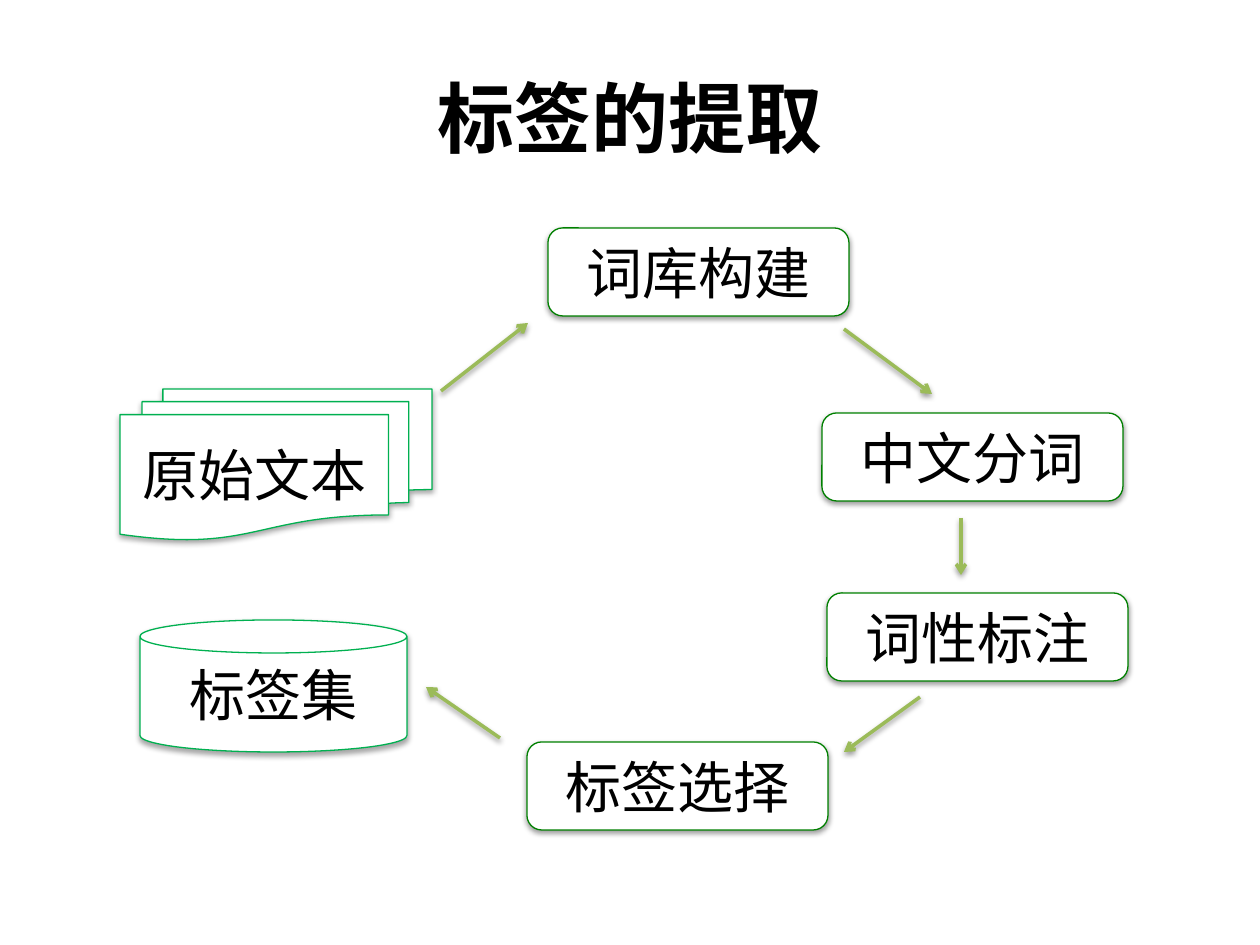
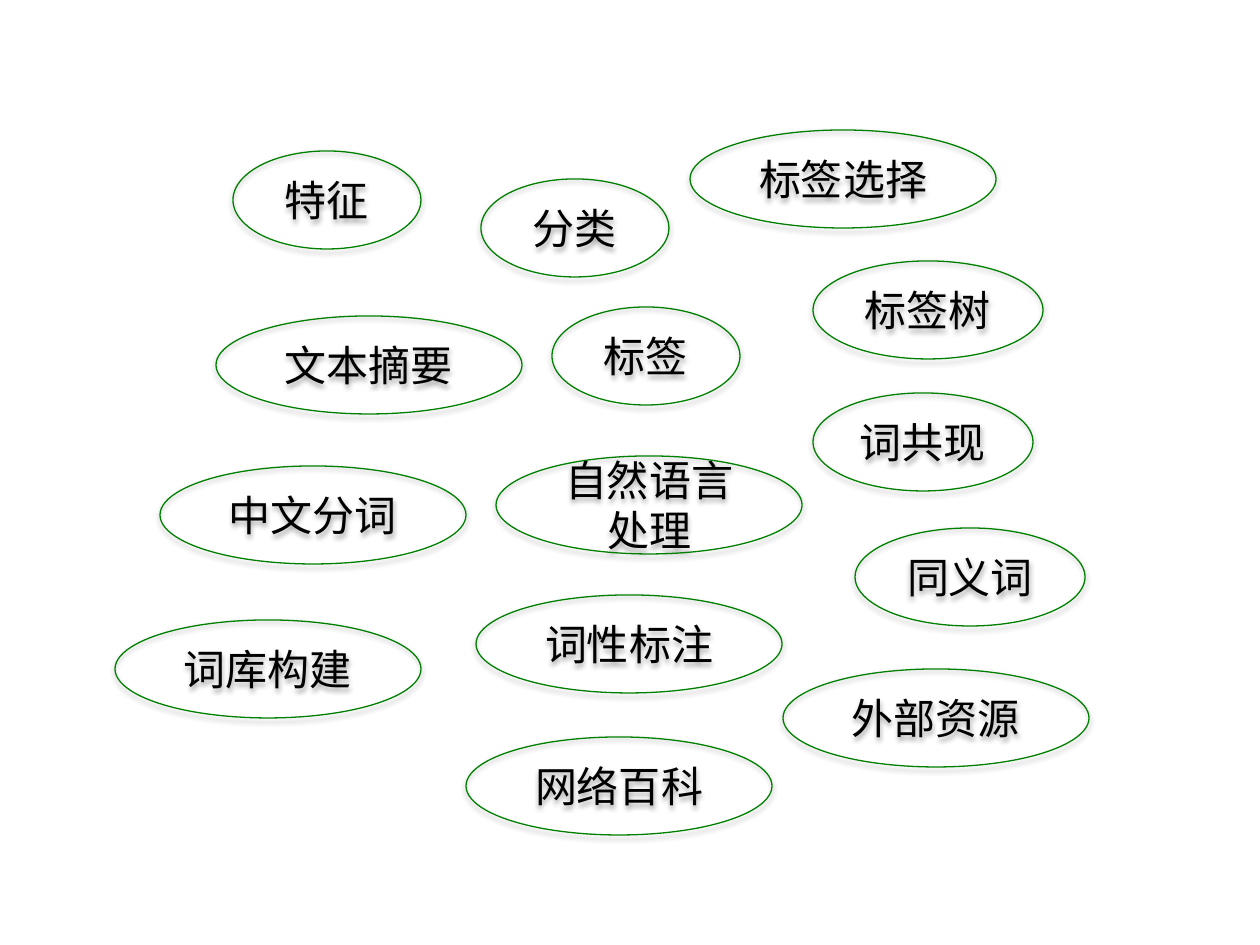
from lxml import etree
from pptx import Presentation
from pptx.dml.color import RGBColor
from pptx.enum.shapes import MSO_CONNECTOR, MSO_SHAPE
from pptx.enum.text import MSO_ANCHOR, PP_ALIGN
from pptx.oxml.ns import qn
from pptx.util import Pt

EMU_PER_PX = 914400 / 126
COLORS = {
    "white": "FFFFFF",
    "text": "000000",
    "step": "008000",
    "data": "00B050",
    "arrow": "9BBB59",
}
TITLE_FONT = "Noto Sans CJK SC"
LABEL_FONT = "Noto Sans CJK JP"
STRONG_SHADOW = {"opacity": 38, "distance": 20000}
SOFT_SHADOW = {"opacity": 35, "distance": 23000}

STRAIGHT = MSO_CONNECTOR.STRAIGHT
ROUNDED = MSO_SHAPE.ROUNDED_RECTANGLE
DOCUMENTS = MSO_SHAPE.FLOWCHART_MULTIDOCUMENT
CAN = MSO_SHAPE.CAN
OVAL = MSO_SHAPE.OVAL
MIDDLE = MSO_ANCHOR.MIDDLE
CENTER = PP_ALIGN.CENTER
TITLE_ONLY, BLANK = 5, 6

TITLE_BOX = (63, 38, 1134, 157)
FLOW_ORIGIN = (120, 228)
STEP_SIZE = (301, 88)
STEPS = [
    ("词库构建", 428, 0),
    ("中文分词", 702, 185),
    ("词性标注", 707, 365),
    ("标签选择", 407, 514),
]
FLOW_ARROWS = [
    ((321, 163), (408, 95)),
    ((724, 101), (812, 166)),
    ((841, 290), (841, 347)),
    ((800, 469), (724, 524)),
    ((380, 510), (306, 459)),
]

CLOUD_ORIGIN = (115, 130)
TAG_HEIGHT = 98
SHORT, NARROW, MEDIUM, LONG = 188, 220, 230, 306
TAGS = [
    ("特征", 118, 21, SHORT),
    ("分类", 366, 49, SHORT),
    ("标签选择", 575, 0, LONG),
    ("标签树", 698, 131, MEDIUM),
    ("文本摘要", 101, 186, LONG),
    ("标签", 437, 177, SHORT),
    ("词共现", 698, 263, NARROW),
    ("中文分词", 45, 336, LONG),
    ("自然语言处理", 381, 326, LONG),
    ("同义词", 740, 398, MEDIUM),
    ("词性标注", 361, 465, LONG),
    ("词库构建", 0, 490, LONG),
    ("外部资源", 668, 539, LONG),
    ("网络百科", 351, 607, LONG),
]


def px(*lengths):
    return [round(length * EMU_PER_PX) for length in lengths]


def color(name):
    return RGBColor.from_string(COLORS[name])


def write_text(shape, text, font_name, size, bold=False):
    frame = shape.text_frame
    frame.text = text
    frame.word_wrap = True
    frame.vertical_anchor = MIDDLE
    paragraph = frame.paragraphs[0]
    paragraph.alignment = CENTER
    run = paragraph.runs[0]
    run.font.name = font_name
    run.font.size = Pt(size)
    run.font.bold = bold
    run.font.color.rgb = color("text")
    latin = run.font._element.find(qn("a:latin"))
    east_asian = etree.Element(qn("a:ea"), typeface=font_name)
    latin.addnext(east_asian)


def add_shadow(shape, opacity, distance):
    """Drop a soft black shadow downwards; call after the line is set."""
    effects = etree.SubElement(shape._element.spPr, qn("a:effectLst"))
    shadow = etree.SubElement(
        effects, qn("a:outerShdw"), blurRad="40000", dist=str(distance),
        dir="5400000", rotWithShape="0")
    black = etree.SubElement(shadow, qn("a:srgbClr"), val=COLORS["text"])
    etree.SubElement(black, qn("a:alpha"), val=str(opacity * 1000))


def add_node(slide, kind, text, box, line, size, shadow, filled=True):
    shape = slide.shapes.add_shape(kind, *px(*box))
    if filled:
        shape.fill.solid()
        shape.fill.fore_color.rgb = color("white")
    else:
        shape.fill.background()
    shape.line.color.rgb = color(line)
    shape.line.width = Pt(0.75)
    add_shadow(shape, **shadow)
    write_text(shape, text, LABEL_FONT, size)


def add_arrow(slide, start, end):
    arrow = slide.shapes.add_connector(STRAIGHT, *px(*start, *end))
    arrow.line.color.rgb = color("arrow")
    arrow.line.width = Pt(2)
    etree.SubElement(arrow.line._get_or_add_ln(), qn("a:tailEnd"), type="arrow")
    add_shadow(arrow, **STRONG_SHADOW)


def add_title(slide, text):
    title = slide.shapes.title
    title.left, title.top, title.width, title.height = px(*TITLE_BOX)
    write_text(title, text, TITLE_FONT, 44, bold=True)


def add_extraction_flow(slide, left, top):
    add_node(slide, DOCUMENTS, "原始文本", (left, top + 161, 312, 151),
             "data", 32, SOFT_SHADOW)
    for text, x, y in STEPS:
        add_node(slide, ROUNDED, text, (left + x, top + y, *STEP_SIZE),
                 "step", 32, STRONG_SHADOW)
    add_node(slide, CAN, "标签集", (left + 20, top + 392, 267, 132),
             "data", 32, SOFT_SHADOW)
    for (x1, y1), (x2, y2) in FLOW_ARROWS:
        add_arrow(slide, (left + x1, top + y1), (left + x2, top + y2))


def add_tag_cloud(slide, left, top):
    for text, x, y, width in TAGS:
        add_node(slide, OVAL, text, (left + x, top + y, width, TAG_HEIGHT),
                 "step", 24, SOFT_SHADOW, filled=False)


def main():
    presentation = Presentation()
    presentation.slide_width, presentation.slide_height = px(1260, 945)
    layouts = presentation.slide_layouts

    flow_slide = presentation.slides.add_slide(layouts[TITLE_ONLY])
    add_title(flow_slide, "标签的提取")
    add_extraction_flow(flow_slide, *FLOW_ORIGIN)

    cloud_slide = presentation.slides.add_slide(layouts[BLANK])
    add_tag_cloud(cloud_slide, *CLOUD_ORIGIN)

    presentation.save("out.pptx")


if __name__ == "__main__":
    main()
